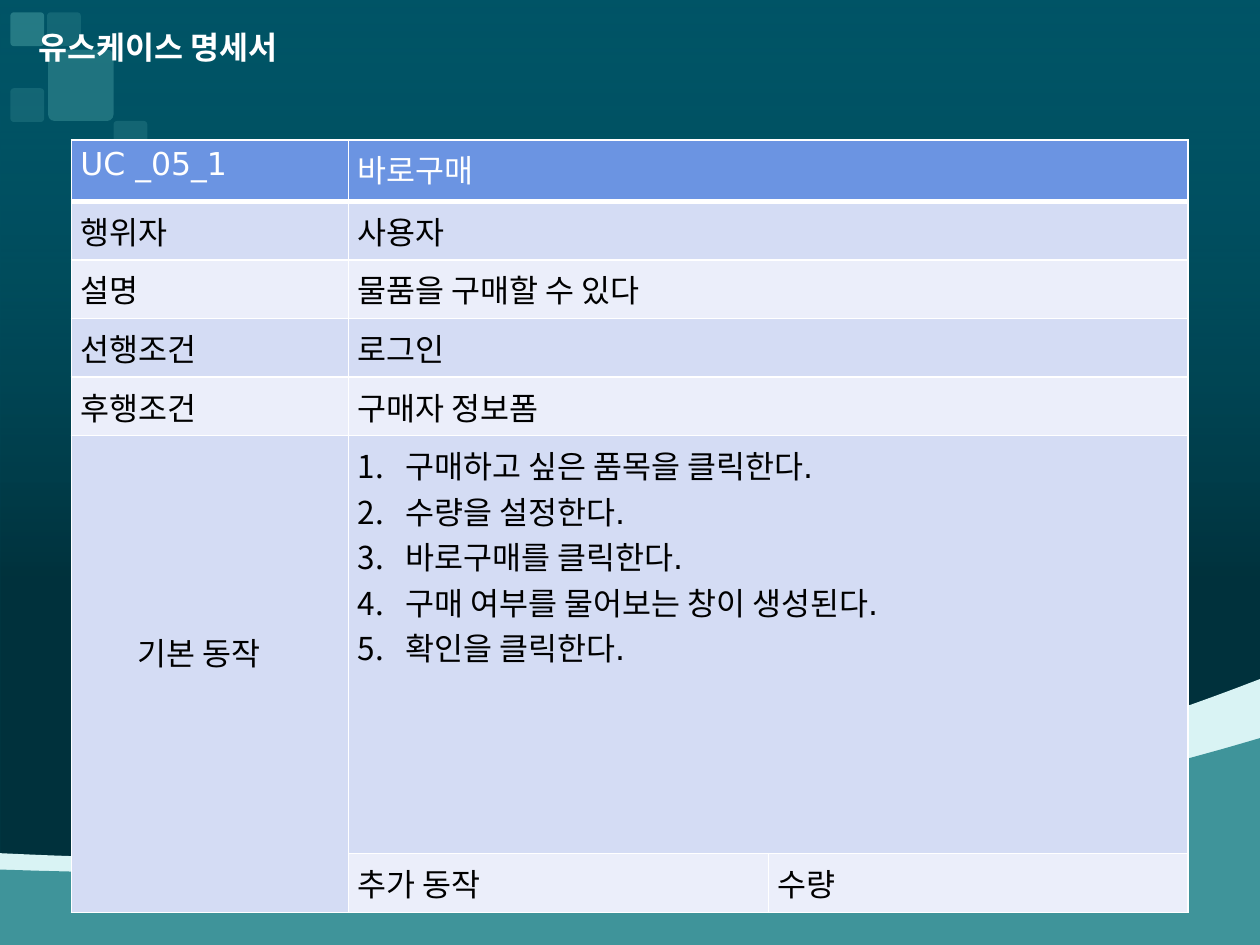
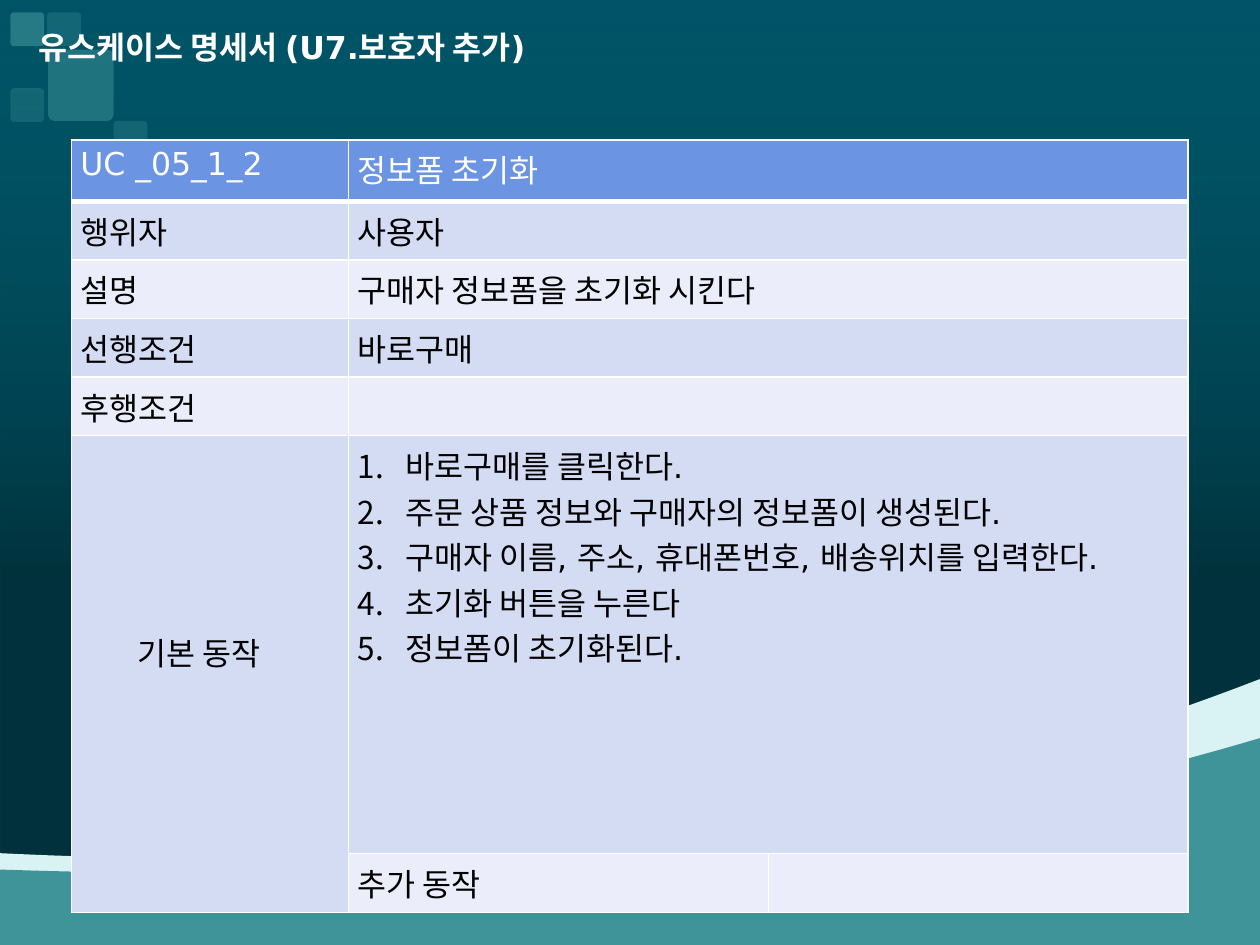
from dataclasses import dataclass

from lxml.etree import SubElement
from pptx import Presentation
from pptx.dml.color import RGBColor
from pptx.enum.shapes import MSO_SHAPE
from pptx.enum.text import MSO_ANCHOR, MSO_AUTO_SIZE, PP_ALIGN
from pptx.oxml.ns import qn
from pptx.util import Cm, Pt

# Content
STEPS_LABEL, EXTRA_LABEL = "기본 동작", "추가 동작"
USE_CASES = [
    {
        "title": "유스케이스 명세서",
        "header": ("UC _05_1", "바로구매"),
        "facts": [
            ("행위자", "사용자"),
            ("설명", "물품을 구매할 수 있다"),
            ("선행조건", "로그인"),
            ("후행조건", "구매자 정보폼"),
        ],
        "steps": [
            "구매하고 싶은 품목을 클릭한다.",
            "수량을 설정한다.",
            "바로구매를 클릭한다.",
            "구매 여부를 물어보는 창이 생성된다.",
            "확인을 클릭한다.",
        ],
        "extra": "수량",
    },
    {
        "title": "유스케이스 명세서 (U7.보호자 추가)",
        "header": ("UC _05_1_2", "정보폼 초기화"),
        "facts": [
            ("행위자", "사용자"),
            ("설명", "구매자 정보폼을 초기화 시킨다"),
            ("선행조건", "바로구매"),
            ("후행조건", ""),
        ],
        "steps": [
            "바로구매를 클릭한다.",
            "주문 상품 정보와 구매자의 정보폼이 생성된다.",
            "구매자 이름, 주소, 휴대폰번호, 배송위치를 입력한다.",
            "초기화 버튼을 누른다",
            "정보폼이 초기화된다.",
        ],
        "extra": "",
    },
]


@dataclass(frozen=True)
class Theme:
    backdrop: str = "005466"
    shade: str = "000000"
    foam: str = "D9F3F4"
    sea: str = "3F949A"
    header: str = "6B94E2"
    bands: tuple = ("D4DCF4", "EBEEFA")
    light: str = "FFFFFF"
    dark: str = "000000"
    font: str = "DejaVu Sans"
    size: int = 18


THEME = Theme()

# Geometry in centimetres
PAGE_WIDTH, PAGE_HEIGHT = 25.4, 19.05
TITLE_BOX = (0.53, 0.43, 13.67, 1.02)
TABLE_CORNER = (1.44, 2.82)
COLUMN_WIDTHS = (5.59, 8.46, 8.46)
ROW_HEIGHTS = (1.24, 1.06, 0.97, 1.13, 1.13, 8.43, 1.04)
STEP_INDENT = 0.96

# Each wave is a chain of cubic curves: start, then two controls and an end
WAVES = [
    (THEME.foam, [(0, 17.2), (4.09, 17.4), (7.44, 17.32), (13.23, 16.74),
                  (19.02, 16.13), (24.08, 14.2), (25.4, 13.69)]),
    (THEME.sea, [(0, 17.53), (6.25, 17.75), (11.3, 17.42), (15.62, 16.94),
                 (19.91, 16.48), (24.36, 15.19), (25.4, 14.88)]),
]
# Left, top, width, height, opacity in percent
TILES = [
    (0.95, 0.25, 0.68, 0.68, 30),
    (0.21, 1.78, 0.68, 0.68, 30),
    (0.21, 0.25, 0.68, 0.68, 60),
    (2.29, 2.44, 0.68, 0.68, 30),
    (0.97, 1.0, 1.32, 1.44, 50),
]


def color(code):
    return RGBColor.from_string(code)


def set_opacity(color_element, percent):
    SubElement(color_element, qn("a:alpha")).set("val", str(percent * 1000))


def paint(shape, code, opacity=100):
    shape.shadow.inherit = False
    shape.line.fill.background()
    shape.fill.solid()
    shape.fill.fore_color.rgb = color(code)
    if opacity < 100:
        set_opacity(shape.fill._xPr.find(".//" + qn("a:srgbClr")), opacity)


# Backdrop, shared through the layout
def sample_curves(points, steps=24):
    """Return points along a chain of cubic curves."""
    result = [points[0]]
    for first in range(0, len(points) - 1, 3):
        curve = points[first:first + 4]
        for step in range(1, steps + 1):
            t = step / steps
            weights = ((1 - t) ** 3, 3 * t * (1 - t) ** 2, 3 * t * t * (1 - t), t ** 3)
            result.append(tuple(sum(w * p[axis] for w, p in zip(weights, curve))
                                for axis in (0, 1)))
    return result


def add_shade(page):
    shade = page.shapes.add_shape(MSO_SHAPE.RECTANGLE, 0, 0, Cm(PAGE_WIDTH), Cm(PAGE_HEIGHT))
    paint(shade, THEME.shade)
    shade.fill.gradient()
    shade.fill.gradient_angle = 270
    stops = ((0, THEME.backdrop, 0), (0.61, THEME.shade, 40))
    for stop, (position, code, opacity) in zip(shade.fill.gradient_stops, stops):
        stop.position = position
        stop.color.rgb = color(code)
        set_opacity(stop._gs.find(qn("a:srgbClr")), opacity)


def add_waves(page):
    for code, points in WAVES:
        outline = [(Cm(x), Cm(y)) for x, y in sample_curves(points)]
        outline += [(Cm(PAGE_WIDTH), Cm(PAGE_HEIGHT)), (0, Cm(PAGE_HEIGHT))]
        builder = page.shapes.build_freeform(*outline[0], scale=1.0)
        builder.add_line_segments(outline[1:], close=True)
        paint(builder.convert_to_shape(), code)


def add_tiles(page):
    for *place, opacity in TILES:
        tile = page.shapes.add_shape(MSO_SHAPE.ROUNDED_RECTANGLE, *map(Cm, place))
        tile.adjustments[0] = 0.1
        paint(tile, THEME.sea, opacity)


def move_backdrop(page, layout):
    """Draw the backdrop on a page, then hand it to the layout, behind its placeholders."""
    layout.background.fill.solid()
    layout.background.fill.fore_color.rgb = color(THEME.backdrop)
    title_count = len(page.shapes)
    for draw in (add_shade, add_waves, add_tiles):
        draw(page)
    for order, shape in enumerate(list(page.shapes)[title_count:]):
        shape._element.nvSpPr.cNvPr.set("id", str(100 + order))
        layout.shapes._spTree.insert(2 + order, shape._element)


# Text
def add_span(para, text, code, bold=False):
    span = para.add_run()
    span.text = text
    span.font.name = THEME.font
    span.font.size = Pt(THEME.size)
    span.font.bold = bold
    span.font.color.rgb = color(code)


def number_paragraph(para):
    properties = para._p.get_or_add_pPr()
    properties.set("marL", str(Cm(STEP_INDENT)))
    properties.set("indent", str(-Cm(STEP_INDENT)))
    SubElement(properties, qn("a:buFont")).set("typeface", "+mj-lt")
    SubElement(properties, qn("a:buAutoNum")).set("type", "arabicPeriod")


def add_title(page, text):
    title = page.shapes.title
    title.left, title.top, title.width, title.height = map(Cm, TITLE_BOX)
    frame = title.text_frame
    frame.auto_size = MSO_AUTO_SIZE.NONE
    frame.word_wrap = True
    frame.vertical_anchor = MSO_ANCHOR.TOP
    frame.paragraphs[0].alignment = PP_ALIGN.LEFT
    add_span(frame.paragraphs[0], text, THEME.light, bold=True)


# Table
def style_cell(cell, fill, bottom_width=1):
    cell.margin_left = cell.margin_right = Cm(0.18)
    cell.margin_top = cell.margin_bottom = Cm(0.13)
    properties = cell._tc.get_or_add_tcPr()
    for side, width in (("L", 1), ("R", 1), ("T", 1), ("B", bottom_width)):
        border = SubElement(properties, qn("a:ln" + side), w=str(Pt(width)))
        SubElement(SubElement(border, qn("a:solidFill")), qn("a:srgbClr"), val=THEME.light)
    cell.fill.solid()
    cell.fill.fore_color.rgb = color(fill)


def fill_cell(cell, text, code=THEME.dark):
    if text:
        add_span(cell.text_frame.paragraphs[0], text, code)


def add_use_case_table(page, case):
    rows, columns = len(ROW_HEIGHTS), len(COLUMN_WIDTHS)
    steps_row, extra_row = rows - 2, rows - 1
    frame = page.shapes.add_table(rows, columns, *map(Cm, TABLE_CORNER),
                                  Cm(sum(COLUMN_WIDTHS)), Cm(sum(ROW_HEIGHTS)))
    table = frame.table
    table.first_row = table.horz_banding = False
    for column, width in zip(table.columns, COLUMN_WIDTHS):
        column.width = Cm(width)
    for index, (row, height) in enumerate(zip(table.rows, ROW_HEIGHTS)):
        row.height = Cm(height)
        fill = THEME.bands[(index - 1) % 2] if index else THEME.header
        for cell in row.cells:
            style_cell(cell, fill, bottom_width=1 if index else 3)
        if index < extra_row:
            table.cell(index, 1).merge(table.cell(index, columns - 1))
    table.cell(steps_row, 0).merge(table.cell(extra_row, 0))

    # Header and facts
    for index, pair in enumerate([case["header"], *case["facts"]]):
        for column, text in enumerate(pair):
            fill_cell(table.cell(index, column), text, THEME.dark if index else THEME.light)

    # Steps, with their label a little above the middle
    label = table.cell(steps_row, 0)
    label.vertical_anchor = MSO_ANCHOR.MIDDLE
    label.margin_left, label.margin_bottom = Cm(1.33), Cm(1.02)
    fill_cell(label, STEPS_LABEL)
    steps = table.cell(steps_row, 1).text_frame
    for index, text in enumerate(case["steps"]):
        para = steps.add_paragraph() if index else steps.paragraphs[0]
        number_paragraph(para)
        add_span(para, text, THEME.dark)

    # Extra action
    fill_cell(table.cell(extra_row, 1), EXTRA_LABEL)
    fill_cell(table.cell(extra_row, 2), case["extra"])


def main():
    deck = Presentation()
    deck.slide_width, deck.slide_height = Cm(PAGE_WIDTH), Cm(PAGE_HEIGHT)
    layout = deck.slide_layouts.get_by_name("Title Only")
    for index, case in enumerate(USE_CASES):
        page = deck.slides.add_slide(layout)
        if index == 0:
            move_backdrop(page, layout)
        add_title(page, case["title"])
        add_use_case_table(page, case)
    deck.save("out.pptx")


if __name__ == "__main__":
    main()
